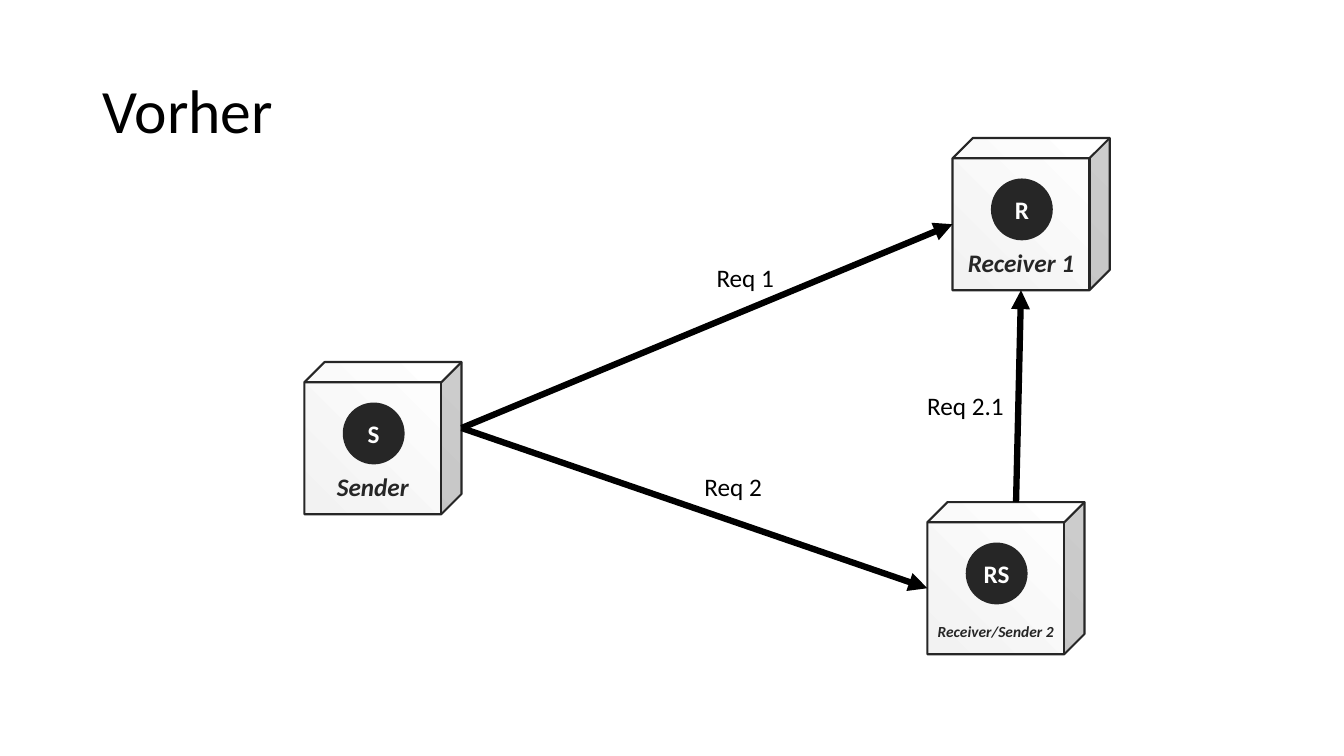
import pptx
import pptx.util
import pptx.dml.color
import pptx.enum.shapes
import pptx.enum.text
import pptx.oxml

Pt = pptx.util.Pt
RGBColor = pptx.dml.color.RGBColor
Shape = pptx.enum.shapes.MSO_SHAPE
Align = pptx.enum.text.PP_ALIGN
Anchor = pptx.enum.text.MSO_ANCHOR

BLACK = RGBColor(0x00, 0x00, 0x00)
WHITE = RGBColor(0xFF, 0xFF, 0xFF)
DARK = RGBColor(0x26, 0x26, 0x26)
PALE = RGBColor(0xF2, 0xF2, 0xF2)

NODE_WIDTH, NODE_HEIGHT = 112.3, 108.7
DEPTH_RATIO = 0.133
DEPTH = NODE_HEIGHT * DEPTH_RATIO
BADGE_SIZE = 44.2


def write_text(shape, text, size=18, color=BLACK, bold=False, italic=False,
               align=Align.LEFT, anchor=Anchor.TOP, wrap=True,
               margins=(7.2, 3.6, 7.2, 3.6), spacing=1.0):
    """Put one formatted paragraph into a shape."""
    frame = shape.text_frame
    frame.word_wrap = wrap
    frame.vertical_anchor = anchor
    (frame.margin_left, frame.margin_top,
     frame.margin_right, frame.margin_bottom) = map(Pt, margins)
    para = frame.paragraphs[0]
    para.alignment = align
    para.line_spacing = spacing
    span = para.add_run()
    span.text = text
    span.font.name = "Calibri"
    span.font.size = Pt(size)
    span.font.color.rgb = color
    span.font.bold = bold
    span.font.italic = italic


def add_label(page, box, text, **text_format):
    """Add a text box at the given left, top, width and height."""
    label = page.shapes.add_textbox(*map(Pt, box))
    write_text(label, text, **text_format)


def add_node(page, box, letter, name, name_size=18):
    """Draw a named cube with a round badge and return its edge points."""
    left, top, width, height = box
    group = page.shapes.add_group_shape()
    cube = group.shapes.add_shape(Shape.CUBE, *map(Pt, box))
    cube.shadow.inherit = False
    cube.adjustments[0] = DEPTH_RATIO
    cube.fill.gradient()
    cube.fill.gradient_angle = 45
    for stop, color in zip(cube.fill.gradient_stops, (PALE, WHITE)):
        stop.color.rgb = color
    cube.line.color.rgb = DARK
    cube.line.width = Pt(1.5)
    write_text(cube, name, size=name_size, color=DARK, bold=True, italic=True,
               align=Align.CENTER, anchor=Anchor.BOTTOM,
               margins=(7.2, 3.6, 7.2, 9.4))

    badge = group.shapes.add_shape(
        Shape.OVAL, Pt(left + (width - DEPTH - BADGE_SIZE) / 2 + 0.6),
        Pt(top + 2 * DEPTH), Pt(BADGE_SIZE), Pt(BADGE_SIZE))
    badge.shadow.inherit = False
    badge.fill.solid()
    badge.fill.fore_color.rgb = DARK
    badge.line.fill.background()
    write_text(badge, letter, color=WHITE, bold=True, align=Align.CENTER,
               anchor=Anchor.MIDDLE, margins=(0, 0, 0, 0))
    return {
        "top": (left + (width + DEPTH) / 2, top),
        "left": (left, top + (height + DEPTH) / 2),
        "bottom": (left + (width - DEPTH) / 2, top + height),
        "right": (left + width, top + (height - DEPTH) / 2),
    }


def add_arrow(page, start, end):
    """Draw a thick arrow between two points."""
    arrow = page.shapes.add_connector(
        pptx.enum.shapes.MSO_CONNECTOR.STRAIGHT, *map(Pt, start + end))
    arrow.line.color.rgb = BLACK
    arrow.line.width = Pt(4.5)
    head = pptx.oxml.parse_xml(
        '<a:tailEnd xmlns:a="http://schemas.openxmlformats.org/drawingml/2006/main"'
        ' type="triangle"/>')
    arrow.line._get_or_add_ln().append(head)
    effects = pptx.oxml.parse_xml(
        '<a:effectLst xmlns:a="http://schemas.openxmlformats.org/drawingml/2006/main"/>')
    arrow._element.spPr.append(effects)


def add_request_diagram(page, box):
    """Draw the sender, the receivers and the requests between them."""
    left, top, width, height = box
    size = (NODE_WIDTH, NODE_HEIGHT)
    right = left + width - NODE_WIDTH
    bottom = top + height - NODE_HEIGHT
    sender = add_node(page, (left, top + 160, *size), "S", "Sender")
    receiver = add_node(page, (right, top, *size), "R", "Receiver 1")
    relay = add_node(page, (right - 18, bottom, *size), "RS",
                     "Receiver/Sender 2", name_size=11)

    for start, end in ((sender["right"], receiver["left"]),
                       (sender["right"], relay["left"]),
                       (relay["top"], receiver["bottom"])):
        add_arrow(page, start, end)

    for text, across, down, label_width in (("Req 1", 287.3, 85, 56.2),
                                            ("Req 2", 278.7, 234.8, 56.2),
                                            ("Req 2.1", 437.8, 176.4, 69.8)):
        add_label(page, (left + across, top + down, label_width, 29), text,
                  wrap=False)


def main():
    """Build the slide and save the deck."""
    deck = pptx.Presentation()
    deck.slide_width, deck.slide_height = Pt(960), Pt(540)
    page = deck.slides.add_slide(deck.slide_layouts[6])
    add_label(page, (66, 28.8, 828, 104.4), "Vorher", size=44,
              anchor=Anchor.MIDDLE, spacing=0.9)
    add_request_diagram(page, (217.4, 98.6, 575.3, 368.7))
    deck.save("out.pptx")


main()
